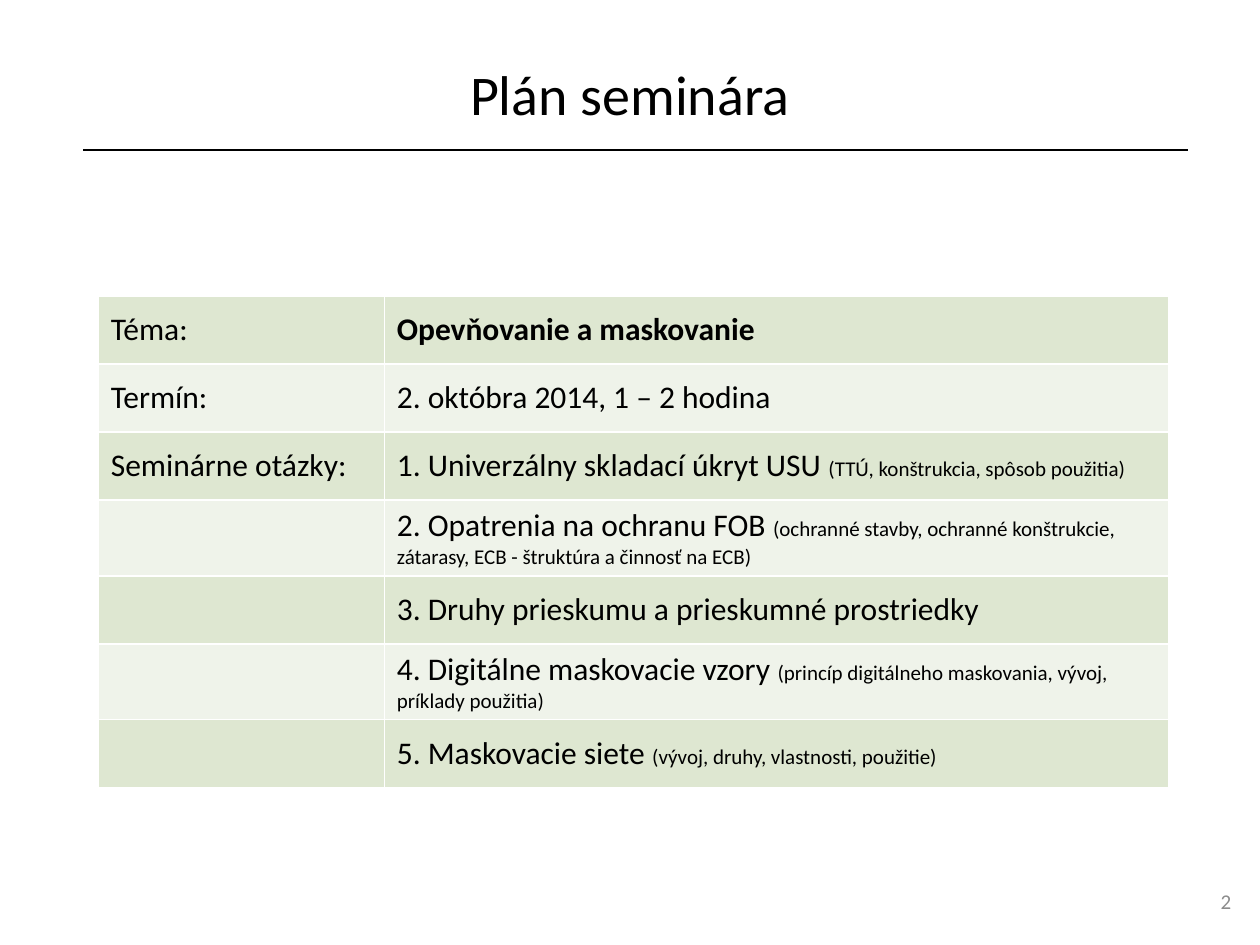
from lxml import etree
from pptx import Presentation
from pptx.dml.color import RGBColor
from pptx.enum import shapes, text
from pptx.oxml.ns import qn
from pptx.util import Inches, Pt

FONT = "Calibri"
COLORS = {
    "text": "000000",
    "number": "8C8C8C",
    "border": "FFFFFF",
    "odd_row": "DEE7D1",
    "even_row": "EFF3EA",
}
# Each row: label, main text, small note
PLAN = [
    ("Téma:", "Opevňovanie a maskovanie", ""),
    ("Termín:", "2. októbra 2014, 1 – 2 hodina", ""),
    ("Seminárne otázky:", "1. Univerzálny skladací úkryt USU ",
     "(TTÚ, konštrukcia, spôsob použitia)"),
    ("", "2. Opatrenia na ochranu FOB ",
     "(ochranné stavby, ochranné konštrukcie, zátarasy, "
     "ECB - štruktúra a činnosť na ECB)"),
    ("", "3. Druhy prieskumu a prieskumné prostriedky", ""),
    ("", "4. Digitálne maskovacie vzory ",
     "(princíp digitálneho maskovania, vývoj, príklady použitia)"),
    ("", "5. Maskovacie siete ", "(vývoj, druhy, vlastnosti, použitie)"),
]


def rgb(name):
    return RGBColor.from_string(COLORS[name])


def add_text(p, content, size=18, bold=False, color="text"):
    r = p.add_run()
    r.text = content
    r.font.name = FONT
    r.font.size = Pt(size)
    r.font.bold = bold
    r.font.color.rgb = rgb(color)


def add_label(s, box, content, align, **fmt):
    tf = s.shapes.add_textbox(*map(Inches, box)).text_frame
    tf.word_wrap = True
    tf.vertical_anchor = text.MSO_ANCHOR.MIDDLE
    p = tf.paragraphs[0]
    p.alignment = align
    add_text(p, content, **fmt)


def add_header(s, left, top, width, height):
    """Title with a rule along its lower edge."""
    add_label(s, (left, top, width, height), "Plán seminára",
              text.PP_ALIGN.CENTER, size=32)
    y = Inches(top + height + 0.01)
    rule = s.shapes.add_connector(
        shapes.MSO_CONNECTOR.STRAIGHT,
        Inches(left + 0.16), y, Inches(left + width - 0.07), y)
    rule.line.color.rgb = rgb("text")
    rule.line.width = Pt(0.75)
    etree.SubElement(rule._element.spPr, qn("a:effectLst"))


def style_cell(cell, fill):
    cell.vertical_anchor = text.MSO_ANCHOR.MIDDLE
    tc_pr = cell._tc.get_or_add_tcPr()
    for side in ("lnL", "lnR", "lnT", "lnB"):
        ln = etree.SubElement(tc_pr, qn(f"a:{side}"), w=str(Pt(1)))
        solid = etree.SubElement(ln, qn("a:solidFill"))
        etree.SubElement(solid, qn("a:srgbClr"), val=COLORS["border"])
    cell.fill.solid()
    cell.fill.fore_color.rgb = rgb(fill)


def add_plan_table(s, left, top, width, row_height, label_width):
    table = s.shapes.add_table(
        len(PLAN), 2, Inches(left), Inches(top),
        Inches(width), Inches(row_height * len(PLAN))).table
    table.columns[0].width = Inches(label_width)
    table.columns[1].width = Inches(width - label_width)
    for i, (label, topic, note) in enumerate(PLAN):
        table.rows[i].height = Inches(row_height)
        label_cell, topic_cell = table.cell(i, 0), table.cell(i, 1)
        for cell in (label_cell, topic_cell):
            style_cell(cell, "even_row" if i % 2 else "odd_row")
        if label:
            add_text(label_cell.text_frame.paragraphs[0], label)
        p = topic_cell.text_frame.paragraphs[0]
        add_text(p, topic, bold=i == 0)
        if note:
            add_text(p, note, size=12)


def main():
    prs = Presentation()
    prs.slide_width, prs.slide_height = Inches(10), Inches(7.5)
    s = prs.slides.add_slide(prs.slide_layouts[6])
    add_header(s, 0.5, 0.3, 9, 0.88)
    add_plan_table(s, 0.78, 2.35, 8.5, row_height=0.54, label_width=2.27)
    add_label(s, (9.16, 6.95, 0.71, 0.4), "2", text.PP_ALIGN.RIGHT,
              size=12, color="number")
    prs.save("out.pptx")


if __name__ == "__main__":
    main()
